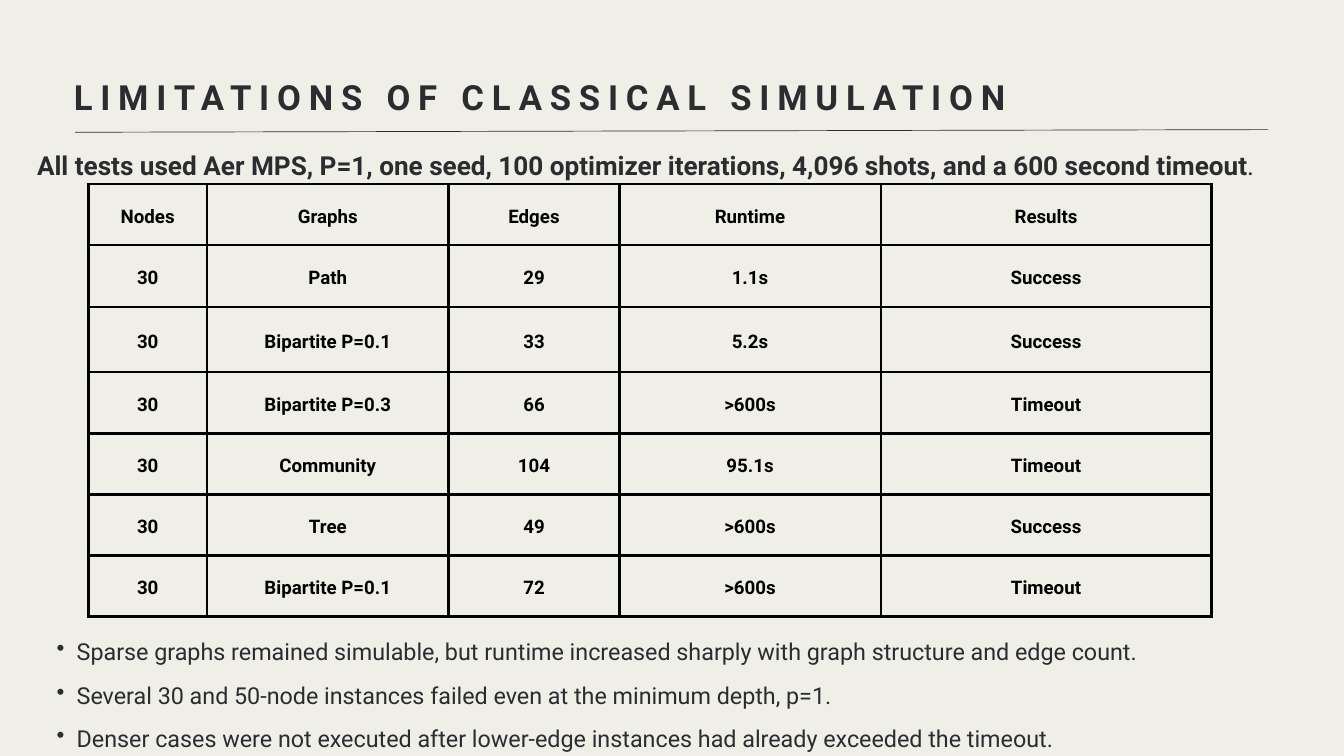
from dataclasses import dataclass

from lxml.etree import SubElement
from pptx import Presentation
from pptx.dml.color import RGBColor
from pptx.enum.shapes import MSO_CONNECTOR
from pptx.enum.text import MSO_ANCHOR, MSO_AUTO_SIZE, PP_ALIGN
from pptx.oxml.ns import qn
from pptx.util import Cm, Pt


@dataclass(frozen=True)
class Theme:
    font: str = "Roboto"
    background: RGBColor = RGBColor(0xEF, 0xEE, 0xE7)
    ink: RGBColor = RGBColor(0x2B, 0x2C, 0x30)
    table_ink: RGBColor = RGBColor(0, 0, 0)
    title: float = 37.1
    setup: float = 28
    bullet: float = 25
    cell: float = 20


THEME = Theme()

COLUMN_WIDTHS = [4.47, 9.14, 6.45, 9.88, 12.5]
ROW_HEIGHTS = [2.31, 2.34, 2.46, 2.31, 2.31, 2.31, 2.31]
RESULTS = [
    ("Nodes", "Graphs", "Edges", "Runtime", "Results"),
    ("30", "Path", "29", "1.1s", "Success"),
    ("30", "Bipartite P=0.1", "33", "5.2s", "Success"),
    ("30", "Bipartite P=0.3", "66", ">600s", "Timeout"),
    ("30", "Community", "104", "95.1s", "Timeout"),
    ("30", "Tree", "49", ">600s", "Success"),
    ("30", "Bipartite P=0.1", "72", ">600s", "Timeout"),
]
SETUP = ("All tests used Aer MPS, P=1, one seed, 100 optimizer iterations, "
         "4,096 shots, and a 600 second timeout")
FINDINGS = [
    "Sparse graphs remained simulable, but runtime increased sharply with "
    "graph structure and edge count.",
    "Several 30 and 50-node instances failed even at the minimum depth, p=1.",
    "Denser cases were not executed after lower-edge instances had already "
    "exceeded the timeout.",
]


def add_run(p, text, size, color=THEME.ink, bold=False):
    r = p.add_run()
    r.text = text
    r.font.name = THEME.font
    r.font.size = Pt(size)
    r.font.bold = bold
    r.font.color.rgb = color
    return r


def prepare_frame(tf):
    tf.word_wrap = True
    tf.auto_size = MSO_AUTO_SIZE.NONE
    tf.vertical_anchor = MSO_ANCHOR.TOP
    tf.margin_left = tf.margin_right = tf.margin_top = tf.margin_bottom = 0
    return tf


def add_text_box(s, left, top, width, height):
    box = s.shapes.add_textbox(Cm(left), Cm(top), Cm(width), Cm(height))
    return prepare_frame(box.text_frame)


def set_title(s, text):
    sp = s.shapes.title
    sp.left, sp.top, sp.width, sp.height = Cm(2.79), Cm(2.62), Cm(45.09), Cm(1.8)
    p = prepare_frame(sp.text_frame).paragraphs[0]
    p.alignment = PP_ALIGN.LEFT
    p.line_spacing = Pt(52)
    r = add_run(p, text, THEME.title, bold=True)
    r.font._element.set("spc", "840")


def add_rule(s):
    line = s.shapes.add_connector(
        MSO_CONNECTOR.STRAIGHT, Cm(2.84), Cm(5), Cm(47.93), Cm(4.9))
    line.line.color.rgb = THEME.ink
    line.line.width = Pt(0.75)
    SubElement(line._element.spPr, qn("a:effectLst"))


def add_setup(s):
    p = add_text_box(s, 1.4, 5, 48.84, 1.85).paragraphs[0]
    p.line_spacing = Pt(52.4)
    add_run(p, SETUP, THEME.setup, bold=True)
    add_run(p, ".", THEME.setup)


def add_bullets(s, items):
    tf = add_text_box(s, 1.4, 23.5, 48.84, 4.94)
    for i, text in enumerate(items):
        p = tf.paragraphs[0] if i == 0 else tf.add_paragraph()
        p.level = 1
        pPr = p._p.get_or_add_pPr()
        pPr.set("marL", str(Cm(1.5)))
        pPr.set("indent", str(-Cm(0.76)))
        SubElement(pPr, qn("a:buChar"), char="•")
        p.line_spacing = Pt(46.7)
        add_run(p, text, THEME.bullet)


def add_borders(cell):
    tcPr = cell._tc.get_or_add_tcPr()
    for side in ("lnL", "lnR", "lnT", "lnB"):
        ln = SubElement(tcPr, qn(f"a:{side}"), w=str(Pt(3)))
        fill = SubElement(ln, qn("a:solidFill"))
        SubElement(fill, qn("a:srgbClr"), val=str(THEME.table_ink))


def fill_cell(cell, text):
    add_borders(cell)
    cell.fill.background()
    cell.vertical_anchor = MSO_ANCHOR.MIDDLE
    cell.margin_left = cell.margin_right = Cm(0.53)
    cell.margin_top = cell.margin_bottom = Cm(0.53)
    p = cell.text_frame.paragraphs[0]
    p.alignment = PP_ALIGN.CENTER
    p.line_spacing = Pt(28)
    add_run(p, text, THEME.cell, THEME.table_ink, bold=True)


def add_results_table(s):
    table = s.shapes.add_table(
        len(RESULTS), len(COLUMN_WIDTHS), Cm(3.35), Cm(6.96),
        Cm(sum(COLUMN_WIDTHS)), Cm(sum(ROW_HEIGHTS))).table
    table.first_row = table.horz_banding = False
    for column, width in zip(table.columns, COLUMN_WIDTHS):
        column.width = Cm(width)
    for row, height, values in zip(table.rows, ROW_HEIGHTS, RESULTS):
        row.height = Cm(height)
        for cell, text in zip(row.cells, values):
            fill_cell(cell, text)


def main():
    prs = Presentation()
    prs.slide_width, prs.slide_height = Cm(50.8), Cm(28.58)
    s = prs.slides.add_slide(prs.slide_layouts[5])
    s.background.fill.solid()
    s.background.fill.fore_color.rgb = THEME.background
    set_title(s, "LIMITATIONS OF CLASSICAL SIMULATION")
    add_rule(s)
    add_setup(s)
    add_results_table(s)
    add_bullets(s, FINDINGS)
    prs.save("out.pptx")


if __name__ == "__main__":
    main()
